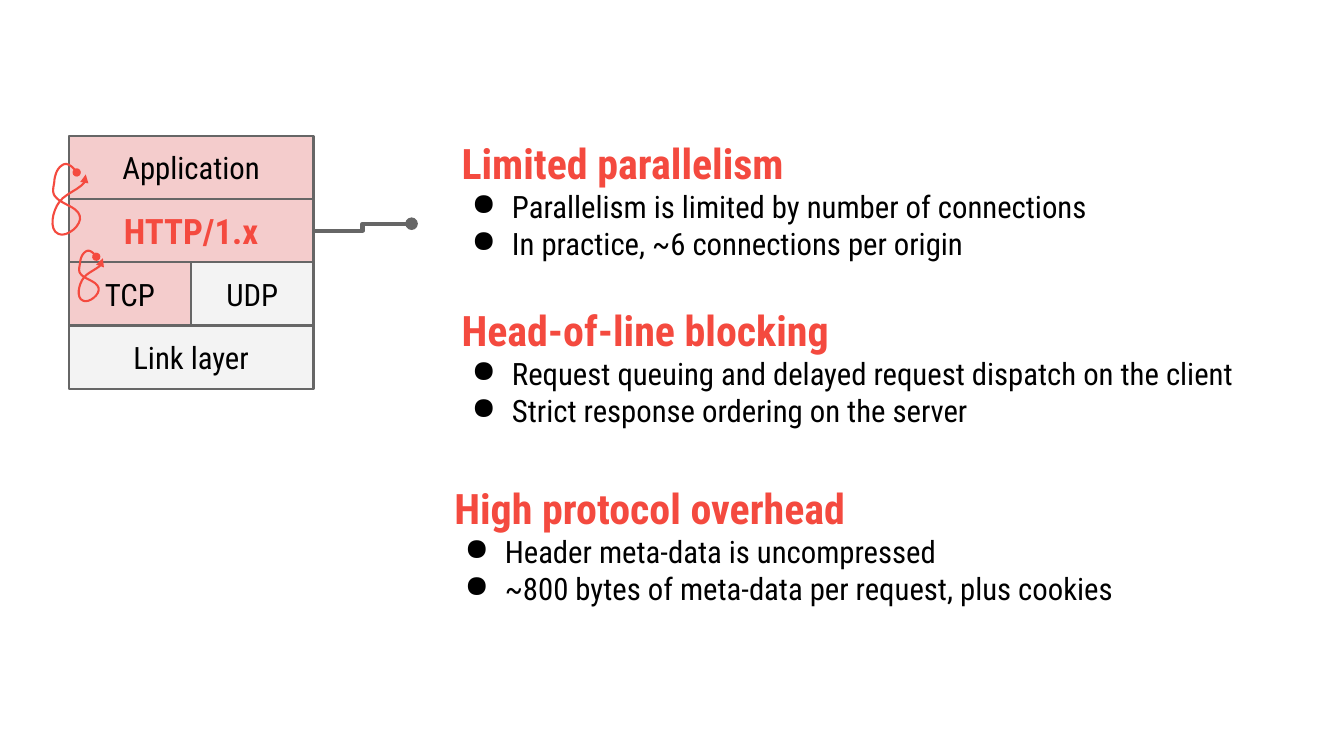
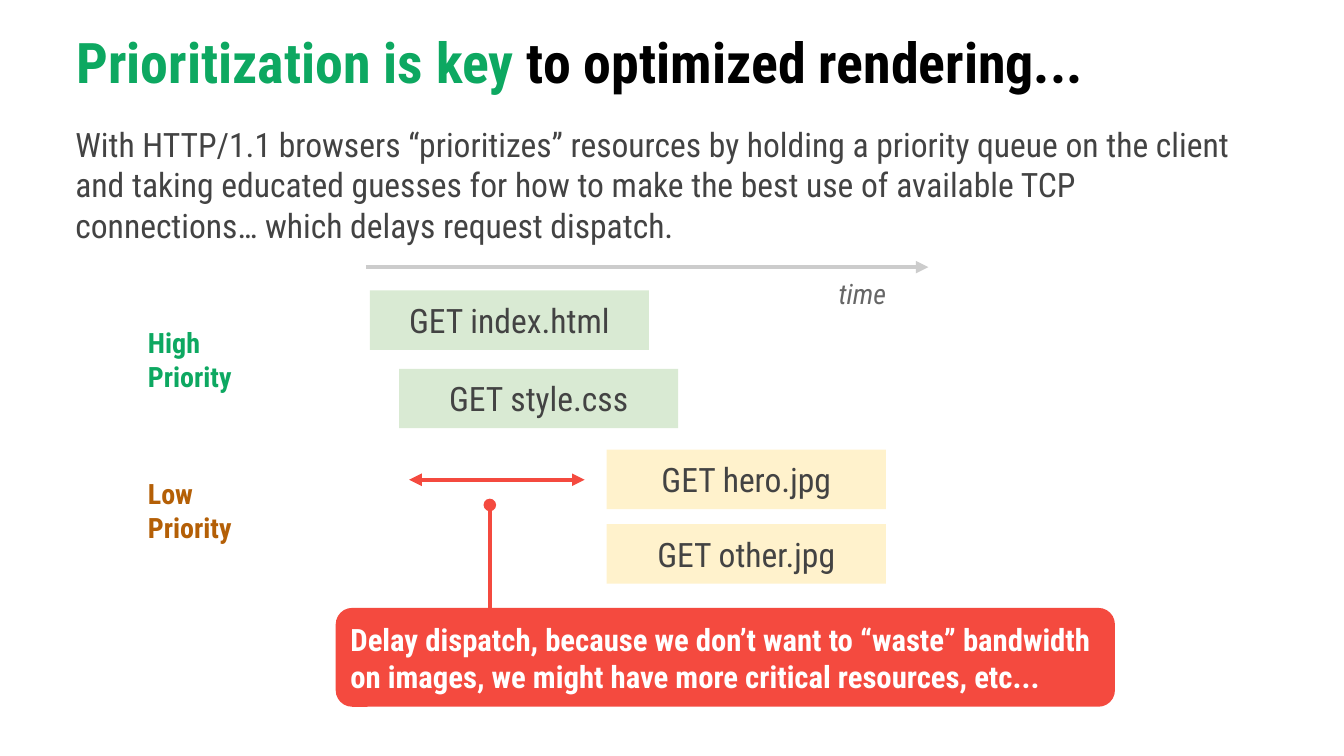
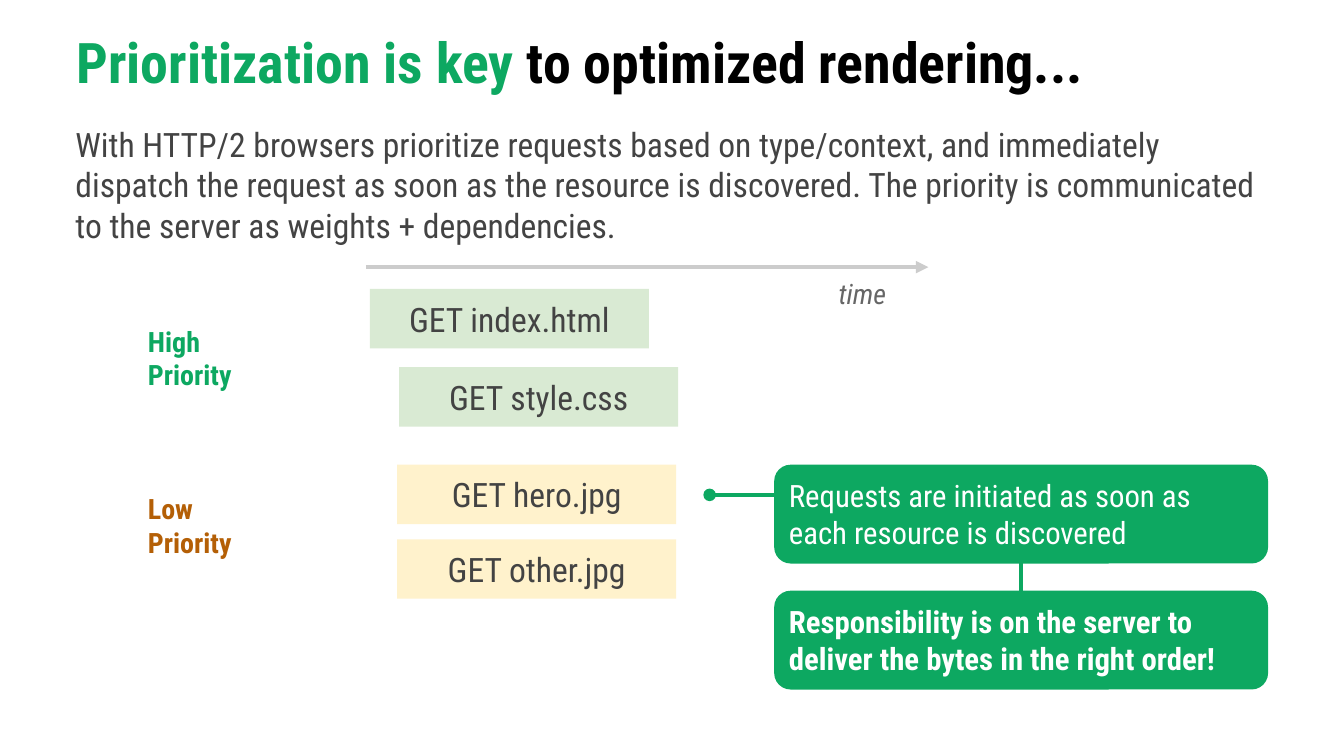
from dataclasses import dataclass
from lxml.etree import SubElement
from pptx import Presentation
from pptx.dml.color import RGBColor as RGB
from pptx.enum.shapes import MSO_CONNECTOR as LINK, MSO_SHAPE as FORM
from pptx.enum.text import MSO_ANCHOR as ANCHOR, PP_ALIGN as ALIGN
from pptx.oxml.ns import qn
from pptx.util import Pt


@dataclass(frozen=True)
class Theme:
    font: str = "Roboto Condensed"
    red: str = "F44A3F"
    green: str = "0DA861"
    brown: str = "B45F06"
    pink: str = "F4CCCC"
    mint: str = "D9EAD3"
    cream: str = "FFF2CC"
    pale: str = "F3F3F3"
    silver: str = "CCCCCC"
    gray: str = "666666"
    dark: str = "434343"
    black: str = "000000"
    white: str = "FFFFFF"
    title: int = 40
    head: int = 30
    strong: int = 25
    body: int = 24
    note: int = 22
    label: int = 20
    inset: float = 7.2
    thin: float = 1.5
    thick: float = 3


T = Theme()

# Bezier points of a scribbled loop, drawn in a 33 by 70 box
LOOP = [(24, 8), (21, 3), (15, -2), (11, 0), (5, 3), (3, 9), (2, 15),
        (2, 20), (-1, 26), (2, 31), (8, 40), (24, 41), (27, 51),
        (30, 60), (14, 73), (6, 69), (-4, 65), (0, 46), (7, 37),
        (14, 27), (37, 22), (33, 10)]


def rgb(hue):
    return RGB.from_string(hue)


def style(para, size, hue, bold=False, italic=False):
    font = para.font
    font.name, font.size = T.font, Pt(size)
    font.bold, font.italic = bold, italic
    font.color.rgb = rgb(hue)


def frame(shape, anchor):
    """Prepare a shape's text frame and return it."""
    text = shape.text_frame
    text.word_wrap = True
    text.vertical_anchor = anchor
    text.margin_left = text.margin_right = Pt(T.inset)
    text.margin_top = text.margin_bottom = Pt(T.inset)
    return text


def write(shape, lines, size, hue, bold=False, italic=False,
          align=ALIGN.LEFT, anchor=ANCHOR.TOP):
    text = frame(shape, anchor)
    text.text = lines
    for para in text.paragraphs:
        para.alignment = align
        style(para, size, hue, bold, italic)


def area(slide, box):
    return slide.shapes.add_textbox(*map(Pt, box))


def block(slide, box, fill, edge=None, form=FORM.RECTANGLE):
    shape = slide.shapes.add_shape(form, *map(Pt, box))
    shape.shadow.inherit = False
    shape.fill.solid()
    shape.fill.fore_color.rgb = rgb(fill)
    if edge:
        shape.line.color.rgb = rgb(edge)
        shape.line.width = Pt(T.thin)
    else:
        shape.line.fill.background()
    return shape


def stroke(shape, hue, width, head=None, tail=None):
    """Set a line's colour, width and end marks."""
    shape.line.color.rgb = rgb(hue)
    shape.line.width = Pt(width)
    line = shape._element.spPr.find(qn("a:ln"))
    for tag, mark in (("a:headEnd", head), ("a:tailEnd", tail)):
        if mark:
            SubElement(line, qn(tag), type=mark)


def link(slide, start, end, hue, head=None, tail=None, kind=LINK.STRAIGHT):
    line = slide.shapes.add_connector(kind, *map(Pt, (*start, *end)))
    stroke(line, hue, T.thick, head, tail)
    SubElement(line._element.spPr, qn("a:effectLst"))
    return line


def loop(slide, box, steps=8):
    """Draw the scribbled loop scaled to a box."""
    left, top, wide, high = box
    pts = [(left + x * wide / 33, top + y * high / 70) for x, y in LOOP]
    trace = []
    for i in range(0, len(pts) - 1, 3):
        for n in range(1, steps + 1):
            t = n / steps
            mix = ((1 - t) ** 3, 3 * t * (1 - t) ** 2,
                   3 * t * t * (1 - t), t ** 3)
            trace.append(tuple(
                Pt(sum(m * p[axis] for m, p in zip(mix, pts[i:i + 4])))
                for axis in (0, 1)))
    pen = slide.shapes.build_freeform(*map(Pt, pts[0]))
    pen.add_line_segments(trace, close=False)
    shape = pen.convert_to_shape()
    shape.shadow.inherit = False
    shape.fill.background()
    stroke(shape, T.red, T.thin, "oval", "triangle")


def stack(slide, box):
    """Draw the protocol layers with their links."""
    left, top, wide, high = box
    row, half = high / 4, wide / 2
    cells = [("Application", 0, 0, wide, T.pink),
             ("HTTP/1.x", 0, 1, wide, T.pink),
             ("TCP", 0, 2, half, T.pink),
             ("Link layer", 0, 3, wide, T.pale),
             ("UDP", half, 2, half, T.pale)]
    for name, x, n, span, fill in cells:
        cell = block(slide, (left + x, top + n * row, span, row), fill, T.gray)
        key = name == "HTTP/1.x"
        write(cell, name, T.strong if key else T.note,
              T.red if key else T.black, key,
              align=ALIGN.CENTER, anchor=ANCHOR.MIDDLE)
    right, mid = left + wide, top + 1.5 * row
    link(slide, (right, mid), (right + 70, mid - 5), T.gray,
         tail="oval", kind=LINK.ELBOW)
    loop(slide, (left - 11.5, top + 20.2, 23.8, 50.4))
    loop(slide, (left + 7.2, top + 82.1, 17.3, 36))


def bullet(para):
    props = para._p.get_or_add_pPr()
    props.set("marL", str(Pt(36)))
    props.set("indent", str(-Pt(28.8)))
    tint = SubElement(props, qn("a:buClr"))
    SubElement(tint, qn("a:srgbClr"), val=T.black)
    SubElement(props, qn("a:buChar"), char="●")


def issue(slide, box, anchor, head, *points):
    """Place a red heading with bullets below."""
    text = frame(area(slide, box), anchor)
    text.text = "\n".join((head, *points))
    first, *rest = text.paragraphs
    style(first, T.head, T.red, True)
    for para in rest:
        bullet(para)
        style(para, T.note, T.black)


def limits(slide):
    stack(slide, (49, 97.2, 175, 180.4))
    issue(slide, (317.5, 334, 584.6, 110.2), ANCHOR.MIDDLE,
          "High protocol overhead",
          "Header meta-data is uncompressed",
          "~800 bytes of meta-data per request, plus cookies")
    issue(slide, (322.6, 216.7, 579.6, 90), ANCHOR.MIDDLE,
          "Head-of-line blocking",
          "Request queuing and delayed request dispatch on the client",
          "Strict response ordering on the server")
    issue(slide, (322.6, 90.7, 564.5, 170.6), ANCHOR.TOP,
          "Limited parallelism",
          "Parallelism is limited by number of connections",
          "In practice, ~6 connections per origin")


def title(slide, box):
    text = frame(area(slide, box), ANCHOR.BOTTOM)
    para = text.paragraphs[0]
    style(para, T.title, T.black, True)
    for words, hue in (("Prioritization is key", T.green),
                       (" to optimized rendering...", T.black)):
        run = para.add_run()
        run.text = words
        run.font.color.rgb = rgb(hue)


def lane(slide, top, name, hue, fill, pitch, drop, bars):
    """Place a priority label and its request bars."""
    for n, (x, words) in enumerate(bars):
        bar = block(slide, (x, top + n * pitch, 199.4, 42.5), fill)
        write(bar, words, T.body, T.dark,
              align=ALIGN.CENTER, anchor=ANCHOR.MIDDLE)
    write(area(slide, (98.6, top + drop, 91.4, 68.4)),
          name + "\nPriority", T.label, hue, True)


def clock(slide, left, top):
    """Draw the time arrow with its caption."""
    link(slide, (left, top), (left + 401.8, top), T.silver, tail="triangle")
    write(area(slide, (left + 330.5, top - 0.7, 78.5, 33.8)), "time",
          T.label, T.gray, italic=True)


def plan(slide, intro, high, low, x):
    """Lay out what both priority slides share."""
    title(slide, (47.5, 17.3, 902.2, 57.6))
    write(area(slide, (46.8, 81.4, 859, 124.6)), intro, T.body, T.dark)
    lane(slide, high, "High", T.green, T.mint, 56, 18,
         [(264.2, "GET index.html"), (285.1, "GET style.css")])
    lane(slide, low, "Low", T.brown, T.cream, 53.3, 12.2,
         [(x, "GET hero.jpg"), (x, "GET other.jpg")])
    clock(slide, 261.4, 190.8)


def callout(slide, box, words, fill, bold=True):
    shape = block(slide, box, fill, form=FORM.ROUNDED_RECTANGLE)
    write(shape, words, T.note, T.white, bold, anchor=ANCHOR.MIDDLE)
    return shape


def queued(slide):
    plan(slide, "With HTTP/1.1 browsers “prioritizes” resources by holding a "
         "priority queue on the client and taking educated guesses for how to "
         "make the best use of available TCP connections… which delays "
         "request dispatch.", 207.4, 321.1, 433.4)
    link(slide, (417.6, 342.7), (292.3, 342.7), T.red, "triangle", "triangle")
    link(slide, (349.9, 360.7), (349.9, 440), T.red, "oval")
    callout(slide, (239.8, 434.2, 556.6, 70.6),
            "Delay dispatch, because we don’t want to “waste” bandwidth on "
            "images, we might have more critical resources, etc...", T.red)


def direct(slide):
    plan(slide, "With HTTP/2 browsers prioritize requests based on "
         "type/context, and immediately dispatch the request as soon as the "
         "resource is discovered. The priority is communicated to the server "
         "as weights + dependencies.", 206.3, 331.9, 283.7)
    link(slide, (506.9, 353.5), (565.2, 353.5), T.green, "oval")
    left, top, wide, high = 553, 331.9, 352.8, 70.6
    early = callout(slide, (left, top, wide, high),
                    "Requests are initiated as soon as each resource is "
                    "discovered", T.green, False)
    duty = callout(slide, (left, top + 90, wide, high),
                   "Responsibility is on the server to deliver the bytes in "
                   "the right order!", T.green)
    mid = left + wide / 2
    tie = link(slide, (mid, top + 90), (mid, top + high), T.green)
    tie.begin_connect(duty, 0)
    tie.end_connect(early, 2)


def main():
    deck = Presentation()
    deck.slide_width, deck.slide_height = Pt(960), Pt(540)
    for draw in (limits, queued, direct):
        draw(deck.slides.add_slide(deck.slide_layouts[6]))
    deck.save("out.pptx")


if __name__ == "__main__":
    main()
